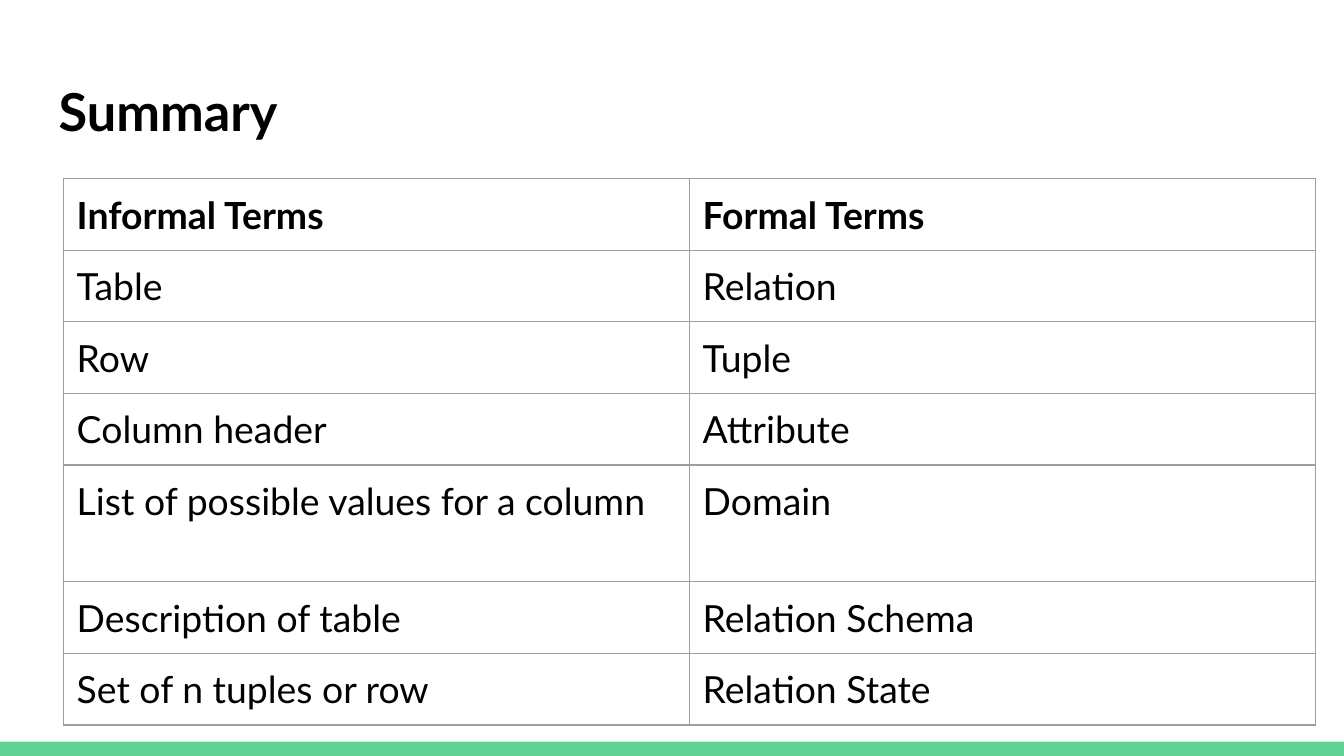
from lxml import etree
from pptx import Presentation
from pptx.dml.color import RGBColor
from pptx.enum.shapes import MSO_SHAPE
from pptx.enum.text import MSO_ANCHOR, PP_ALIGN
from pptx.oxml.ns import qn
from pptx.util import Cm, Pt

RECTANGLE = MSO_SHAPE.RECTANGLE
TOP = MSO_ANCHOR.TOP
LEFT = PP_ALIGN.LEFT

FONT = "Lato"
BLACK = RGBColor(0x00, 0x00, 0x00)
WHITE = RGBColor(0xFF, 0xFF, 0xFF)
GREEN = RGBColor(0x63, 0xD2, 0x97)
GREY = RGBColor(0x9E, 0x9E, 0x9E)

# Content
TITLE = "Summary"
TERMS = [
    ("Informal Terms", "Formal Terms"),
    ("Table", "Relation"),
    ("Row", "Tuple"),
    ("Column header", "Attribute"),
    ("List of possible values for a column", "Domain"),
    ("Description of table", "Relation Schema"),
    ("Set of n tuples or row", "Relation State"),
]
TALL_ROW = 4

# Layout
SLIDE_WIDTH, SLIDE_HEIGHT = Cm(25.4), Cm(14.29)
BAR_HEIGHT = Cm(0.27)
INSET = Cm(0.25)
COLUMN_WIDTH = Cm(11.83)
ROW_HEIGHT, TALL_ROW_HEIGHT = Cm(1.07), Cm(2.21)
BORDER_WIDTH = Pt(0.75)


def set_insets(target):
    target.margin_left = target.margin_right = INSET
    target.margin_top = target.margin_bottom = INSET
    target.vertical_anchor = TOP


def write_text(text_frame, text, size, bold):
    paragraph = text_frame.paragraphs[0]
    paragraph.alignment = LEFT
    run = paragraph.add_run()
    run.text = text
    run.font.name = FONT
    run.font.size = Pt(size)
    run.font.bold = bold
    run.font.color.rgb = BLACK


def add_borders(cell):
    properties = cell._tc.get_or_add_tcPr()
    for position, side in enumerate(("a:lnL", "a:lnR", "a:lnT", "a:lnB")):
        line = etree.Element(qn(side), w=str(BORDER_WIDTH))
        fill = etree.SubElement(line, qn("a:solidFill"))
        etree.SubElement(fill, qn("a:srgbClr"), val=str(GREY))
        properties.insert(position, line)


presentation = Presentation()
presentation.slide_width = SLIDE_WIDTH
presentation.slide_height = SLIDE_HEIGHT
slide = presentation.slides.add_slide(presentation.slide_layouts[5])
slide.background.fill.solid()
slide.background.fill.fore_color.rgb = WHITE

# Bottom bar
bar = slide.shapes.add_shape(
    RECTANGLE, 0, SLIDE_HEIGHT - BAR_HEIGHT, SLIDE_WIDTH, BAR_HEIGHT
)
bar.shadow.inherit = False
bar.fill.solid()
bar.fill.fore_color.rgb = GREEN
bar.line.fill.background()

# Title
title = slide.shapes.title
title.left, title.top = Cm(0.86), Cm(1.24)
title.width, title.height = Cm(23.67), Cm(1.6)
set_insets(title.text_frame)
write_text(title.text_frame, TITLE, 28, True)

# Table of terms
row_heights = [
    TALL_ROW_HEIGHT if index == TALL_ROW else ROW_HEIGHT
    for index in range(len(TERMS))
]
column_count = len(TERMS[0])
table = slide.shapes.add_table(
    len(TERMS), column_count, Cm(1.2), Cm(3.38),
    COLUMN_WIDTH * column_count, sum(row_heights),
).table
table.first_row = False
table.horz_banding = False
for column in table.columns:
    column.width = COLUMN_WIDTH
for row_index, terms in enumerate(TERMS):
    table.rows[row_index].height = row_heights[row_index]
    for column_index, term in enumerate(terms):
        cell = table.cell(row_index, column_index)
        set_insets(cell)
        write_text(cell.text_frame, term, 20, row_index == 0)
        cell.fill.background()
        add_borders(cell)

presentation.save("out.pptx")
